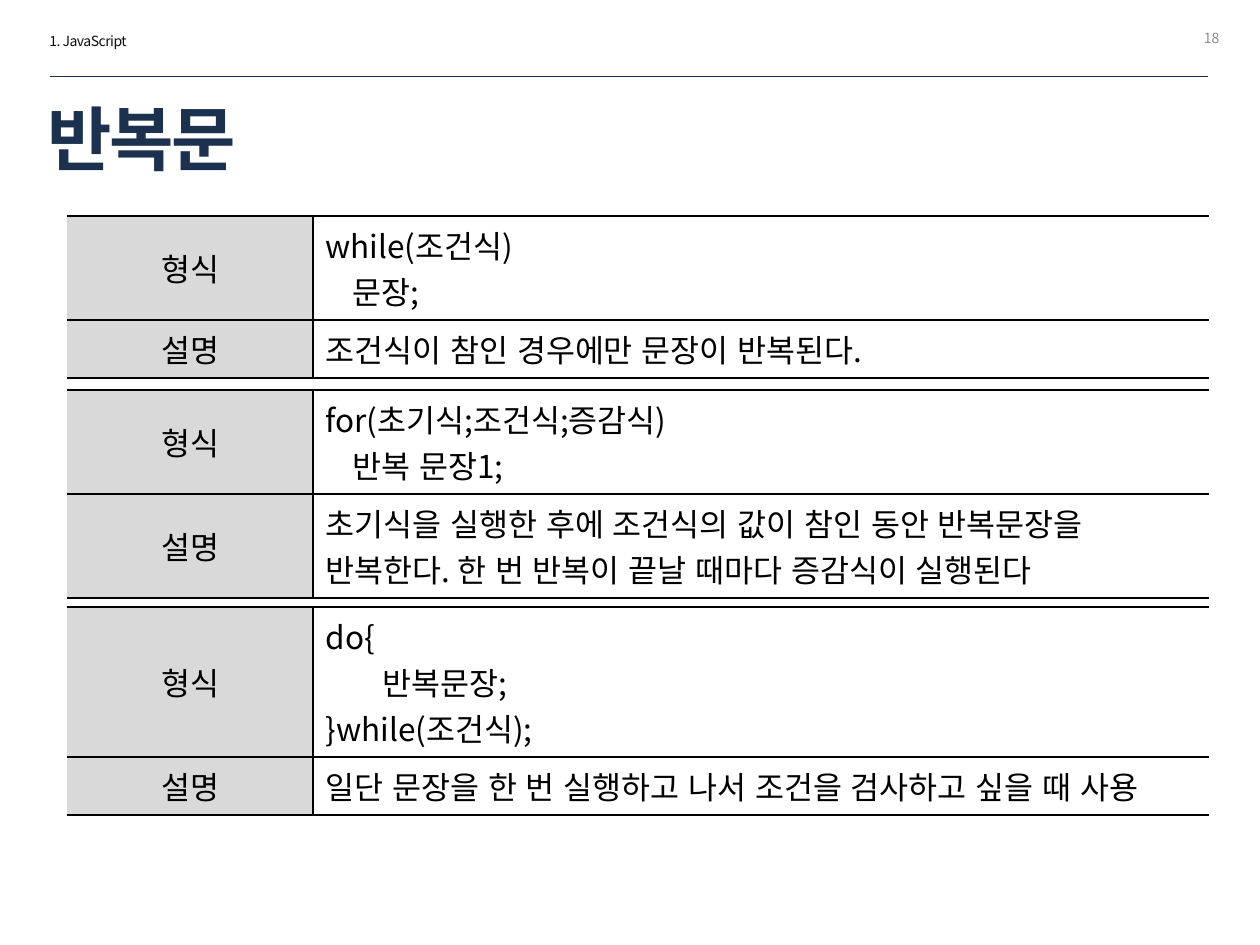
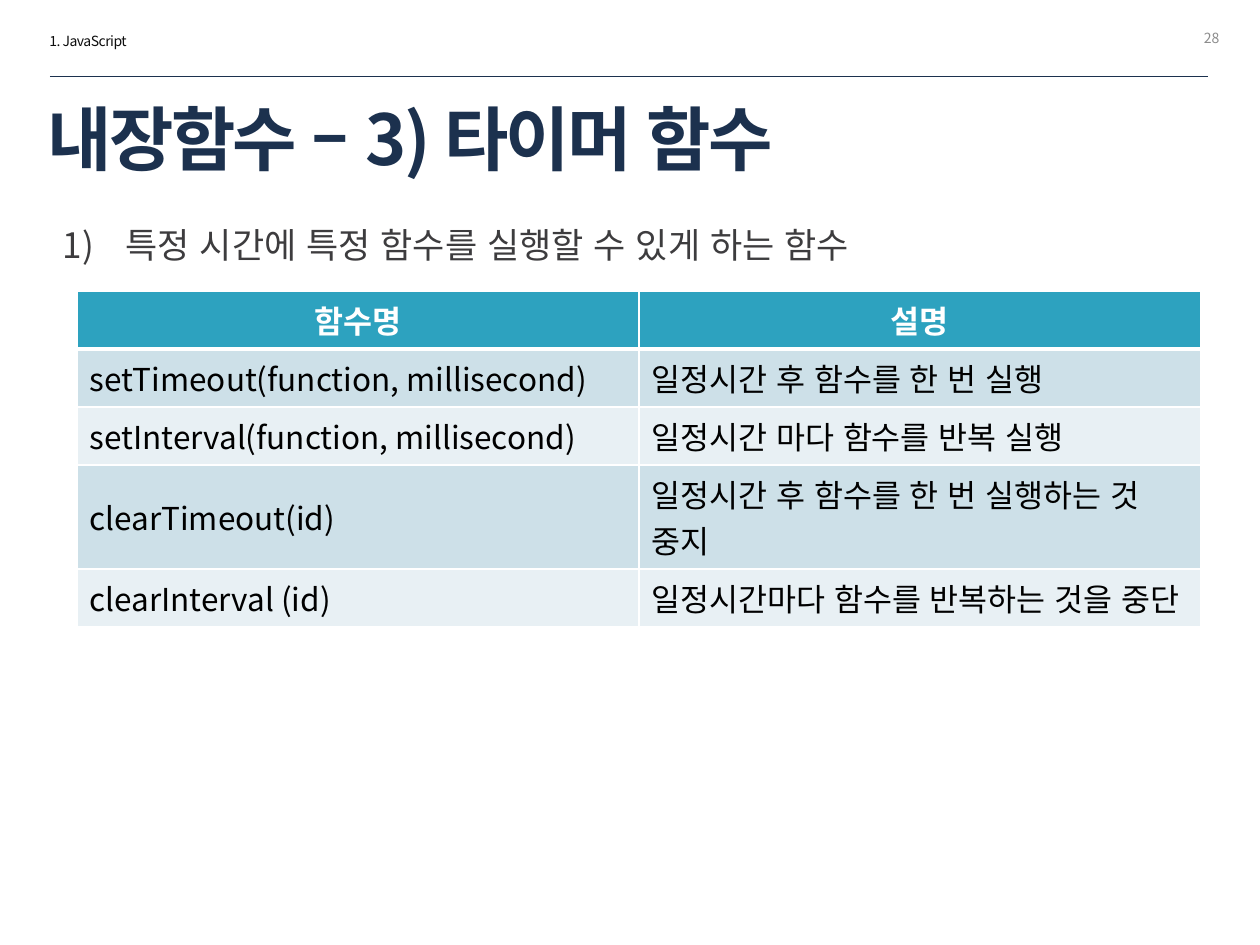
from dataclasses import dataclass

from lxml import etree
from pptx import Presentation
from pptx.dml.color import RGBColor
from pptx.enum.lang import MSO_LANGUAGE_ID
from pptx.enum.shapes import MSO_CONNECTOR
from pptx.enum.text import MSO_ANCHOR, MSO_AUTO_SIZE, PP_ALIGN
from pptx.oxml.ns import qn
from pptx.util import Pt

LEFT, CENTER, RIGHT = PP_ALIGN.LEFT, PP_ALIGN.CENTER, PP_ALIGN.RIGHT
TOP, MIDDLE = MSO_ANCHOR.TOP, MSO_ANCHOR.MIDDLE
STRAIGHT = MSO_CONNECTOR.STRAIGHT
NO_FIT = MSO_AUTO_SIZE.NONE
KOREAN = MSO_LANGUAGE_ID.KOREAN
PX = 914400 // 126  # EMU in one px


@dataclass(frozen=True)
class Theme:
    font: str = "Noto Sans CJK KR"
    navy: str = "1C314E"
    black: str = "000000"
    white: str = "FFFFFF"
    header: str = "0D0D0D"
    number: str = "8C8C8C"
    body: str = "3D3C3E"
    label_fill: str = "D9D9D9"
    head_fill: str = "2DA2BF"
    bands: tuple = ("CDE0E8", "E8F0F4")
    title_size: int = 40
    body_size: int = 20
    table_size: int = 18
    small_size: int = 8


T = Theme()


def write(p, text, size, color, align=LEFT, bold=False, spacing=0):
    p.alignment = align
    r = p.add_run()
    r.text = text
    r.font.size, r.font.bold = Pt(size), bold
    r.font.color.rgb = RGBColor.from_string(color)
    r.font.name = T.font
    r.font.language_id = KOREAN
    rPr = r.font._element
    etree.SubElement(rPr, qn("a:ea"), typeface=T.font)
    if spacing:
        rPr.set("spc", str(spacing))


def set_borders(cell, color, **widths):
    """Draw the sides L, R, T, B at the given widths in points; hide the rest."""
    tcPr = cell._tc.get_or_add_tcPr()
    for i, side in enumerate("LRTB"):
        width = widths.get(side, 0)
        ln = etree.Element(qn(f"a:ln{side}"), w=str(Pt(width)))
        if width:
            fill = etree.SubElement(ln, qn("a:solidFill"))
            etree.SubElement(fill, qn("a:srgbClr"), val=color)
        else:
            etree.SubElement(ln, qn("a:noFill"))
        tcPr.insert(i, ln)


prs = Presentation()
prs.slide_width, prs.slide_height = 1260 * PX, 945 * PX

# Shared header, rule, title and page number; layout 5 is title only, 1 has a body
slides = []
for title, number, layout in (("반복문", "18", 5), ("내장함수 – 3) 타이머 함수", "28", 1)):
    s = prs.slides.add_slide(prs.slide_layouts[layout])
    slides.append(s)

    header = s.shapes.add_textbox(37 * PX, 26 * PX, 218 * PX, 30 * PX)
    header.text_frame.word_wrap = True
    write(header.text_frame.paragraphs[0], "1. JavaScript", T.small_size, T.header, spacing=-30)

    rule = s.shapes.add_connector(STRAIGHT, 50 * PX, 76 * PX, 1208 * PX, 76 * PX)
    rule.line.color.rgb = RGBColor.from_string(T.navy)
    rule.line.width = Pt(0.25)
    etree.SubElement(rule._element.spPr, qn("a:effectLst"))

    sp = s.shapes.title
    sp.left, sp.top, sp.width, sp.height = 35 * PX, 97 * PX, 1186 * PX, 81 * PX
    tf = sp.text_frame
    tf.auto_size, tf.vertical_anchor = NO_FIT, MIDDLE
    write(tf.paragraphs[0], title, T.title_size, T.navy, bold=True, spacing=-150)

    page = s.shapes.add_textbox(939 * PX, 13 * PX, 293 * PX, 50 * PX)
    page.text_frame.word_wrap = True
    page.text_frame.vertical_anchor = MIDDLE
    write(page.text_frame.paragraphs[0], number, T.small_size, T.number, align=RIGHT)

loops, timers = slides

# Row height by number of text lines
ROW = {1: 58, 2: 104, 3: 150}

# Loop statements: top, syntax as (indent, line), description, its line count
LOOPS = (
    (216, ((0, "while(조건식)"), (27, "문장;")),
     "조건식이 참인 경우에만 문장이 반복된다.", 1),
    (390, ((0, "for(초기식;조건식;증감식)"), (27, "반복 문장1;")),
     "초기식을 실행한 후에 조건식의 값이 참인 동안 반복문장을 반복한다. "
     "한 번 반복이 끝날 때마다 증감식이 실행된다", 2),
    (607, ((0, "do{"), (57, "반복문장;"), (0, "}while(조건식);")),
     "일단 문장을 한 번 실행하고 나서 조건을 검사하고 싶을 때 사용", 1),
)
for top, syntax, description, count in LOOPS:
    heights = ROW[len(syntax)], ROW[count]
    table = loops.shapes.add_table(2, 2, 67 * PX, top * PX, 1142 * PX, sum(heights) * PX).table
    table.first_row = table.horz_banding = False
    table.columns[0].width, table.columns[1].width = 246 * PX, 896 * PX
    rows = (("형식", syntax), ("설명", ((0, description),)))
    for row, height, (label, lines) in zip(table.rows, heights, rows):
        row.height = height * PX
        name, content = row.cells
        name.fill.solid()
        name.fill.fore_color.rgb = RGBColor.from_string(T.label_fill)
        name.vertical_anchor = MIDDLE
        write(name.text_frame.paragraphs[0], label, T.table_size, T.black, align=CENTER)
        set_borders(name, T.black, R=1, T=1, B=1)

        content.fill.background()
        tf = content.text_frame
        for i, (indent, line) in enumerate(lines):
            p = tf.add_paragraph() if i else tf.paragraphs[0]
            write(p, line, T.table_size, T.black)
            p._p.get_or_add_pPr().set("marL", str(indent * PX))
        set_borders(content, T.black, L=1, T=1, B=1)

# Timer functions: numbered statement
sp = timers.placeholders[1]
sp.left, sp.top, sp.width, sp.height = 50 * PX, 217 * PX, 1150 * PX, 314 * PX
tf = sp.text_frame
tf.auto_size, tf.vertical_anchor = NO_FIT, TOP
p = tf.paragraphs[0]
write(p, "특정 시간에 특정 함수를 실행할 수 있게 하는 함수", T.body_size, T.body)
pPr = p._p.get_or_add_pPr()
pPr.set("marL", str(63 * PX))
pPr.set("indent", str(-63 * PX))
etree.SubElement(pPr, qn("a:buFont"), typeface=T.font)
etree.SubElement(pPr, qn("a:buAutoNum"), type="arabicParenR")

# Timer functions: table
TIMERS = (
    ("함수명", "설명", 1),
    ("setTimeout(function, millisecond)", "일정시간 후 함수를 한 번 실행", 1),
    ("setInterval(function, millisecond)", "일정시간 마다 함수를 반복 실행", 1),
    ("clearTimeout(id)", "일정시간 후 함수를 한 번 실행하는 것 중지", 2),
    ("clearInterval (id)", "일정시간마다 함수를 반복하는 것을 중단", 1),
)
height = sum(ROW[count] for *_, count in TIMERS)
table = timers.shapes.add_table(len(TIMERS), 2, 77 * PX, 291 * PX, 1124 * PX, height * PX).table
for column in table.columns:
    column.width = 562 * PX
for i, (row, (*texts, count)) in enumerate(zip(table.rows, TIMERS)):
    row.height = ROW[count] * PX
    head = i == 0
    fill = T.head_fill if head else T.bands[(i - 1) % 2]
    for j, (cell, text) in enumerate(zip(row.cells, texts)):
        cell.fill.solid()
        cell.fill.fore_color.rgb = RGBColor.from_string(fill)
        cell.vertical_anchor = TOP if head or j else MIDDLE
        write(cell.text_frame.paragraphs[0], text, T.table_size,
              T.white if head else T.black, CENTER if head else LEFT, bold=head)
        set_borders(cell, T.white, L=1, R=1, T=3 if i == 1 else 1, B=3 if head else 1)

prs.save("out.pptx")
